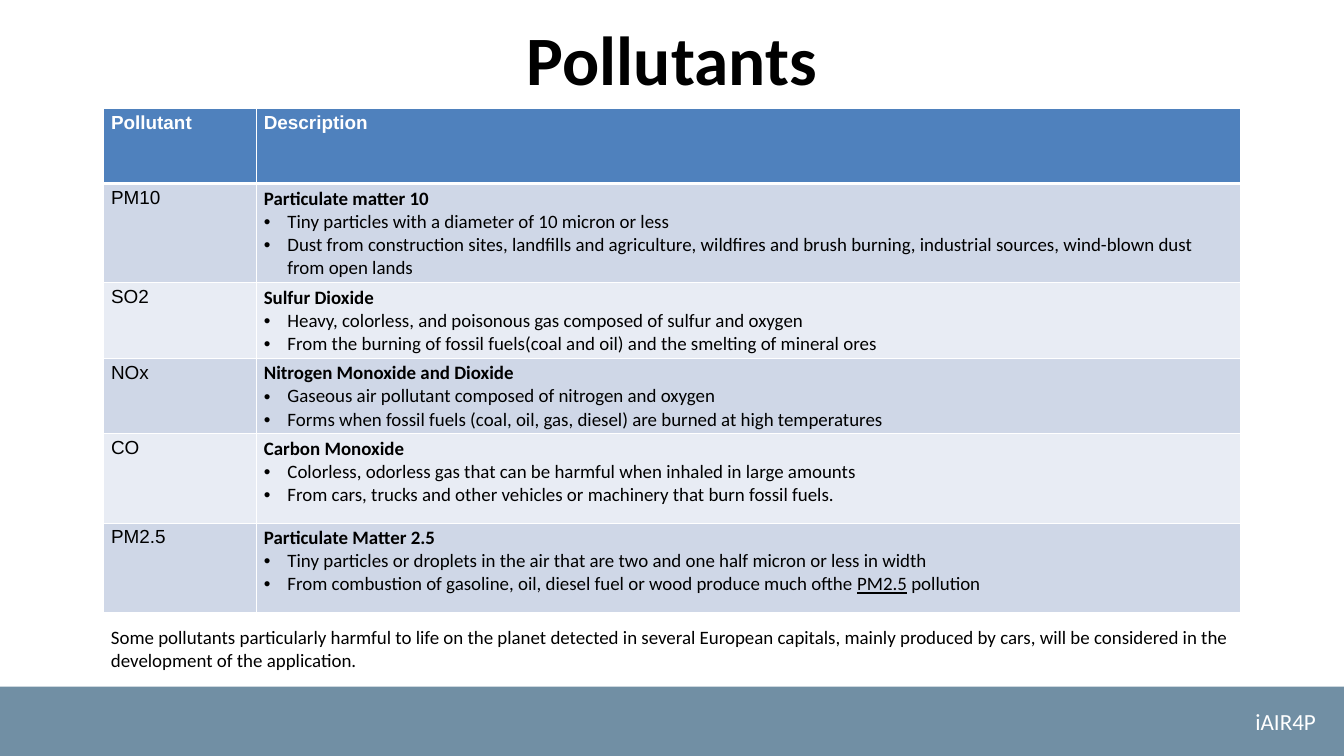
import pptx
import pptx.util
import pptx.dml.color
import pptx.enum.shapes
import pptx.enum.text
import pptx.oxml
import pptx.oxml.ns
from lxml import etree

Pt = pptx.util.Pt
COLORS = {
    "white": "FFFFFF", "black": "000000", "footer": "718FA4",
    "header": "4F81BD", "odd": "CFD7E7", "even": "E8ECF4",
}
SLIDE_W, SLIDE_H = 1280, 720
UNDERLINED = "PM2.5"
COLUMNS = [145.5, 937]
ROWS = [72, 94, 72, 72, 85, 85]
POLLUTANTS = [
    ("PM10", "Particulate matter 10", [
        "Tiny particles with a diameter of 10 micron or less",
        "Dust from construction sites, landfills and agriculture, wildfires and brush burning, "
        "industrial sources, wind-blown dust from open lands"]),
    ("SO2", "Sulfur Dioxide", [
        "Heavy, colorless, and poisonous gas composed of sulfur and oxygen",
        "From the burning of fossil fuels(coal and oil) and the smelting of mineral ores"]),
    ("NOx", "Nitrogen Monoxide and Dioxide", [
        "Gaseous air pollutant composed of nitrogen and oxygen",
        "Forms when fossil fuels (coal, oil, gas, diesel) are burned at high temperatures"]),
    ("CO", "Carbon Monoxide", [
        "Colorless, odorless gas that can be harmful when inhaled in large amounts",
        "From cars, trucks and other vehicles or machinery that burn fossil fuels."]),
    ("PM2.5", "Particulate Matter 2.5", [
        "Tiny particles or droplets in the air that are two and one half micron or less in width",
        "From combustion of gasoline, oil, diesel fuel or wood produce much ofthe PM2.5 pollution"]),
]


def rgb(name):
    return pptx.dml.color.RGBColor.from_string(COLORS[name])


def set_font(p, size=18, name="Calibri", color="black", bold=False):
    p.font.size = Pt(size)
    p.font.name = name
    p.font.bold = bold
    p.font.color.rgb = rgb(color)


def add_title(s, text):
    title = s.shapes.title
    title.left, title.top, title.width, title.height = Pt(359), Pt(12), Pt(562), Pt(87)
    tf = title.text_frame
    tf.text = text
    tf.auto_size = pptx.enum.text.MSO_AUTO_SIZE.NONE
    tf.vertical_anchor = pptx.enum.text.MSO_ANCHOR.TOP
    p = tf.paragraphs[0]
    p.alignment = pptx.enum.text.PP_ALIGN.CENTER
    set_font(p, 66, bold=True)


def add_text(s, text, left, top, width, height, size, color):
    tf = s.shapes.add_textbox(Pt(left), Pt(top), Pt(width), Pt(height)).text_frame
    tf.word_wrap = True
    p = tf.paragraphs[0]
    p.text = text
    set_font(p, size, color=color)


def add_footer_bar(s):
    top = 654
    sp = s.shapes.add_shape(pptx.enum.shapes.MSO_SHAPE.RECTANGLE,
                            0, Pt(top), Pt(SLIDE_W), Pt(SLIDE_H - top))
    sp.shadow.inherit = False
    sp.fill.solid()
    sp.fill.fore_color.rgb = rgb("footer")
    sp.line.fill.background()


def style_cell(cell, fill, top=1, bottom=1):
    tcPr = cell._tc.get_or_add_tcPr()
    for side, width in (("L", 1), ("R", 1), ("T", top), ("B", bottom)):
        ln = etree.SubElement(tcPr, pptx.oxml.ns.qn(f"a:ln{side}"), w=str(Pt(width)))
        solid = etree.SubElement(ln, pptx.oxml.ns.qn("a:solidFill"))
        etree.SubElement(solid, pptx.oxml.ns.qn("a:srgbClr"), val=COLORS["white"])
    cell.fill.solid()
    cell.fill.fore_color.rgb = rgb(fill)


def write_label(cell, text, **font):
    p = cell.text_frame.paragraphs[0]
    p.text = text
    set_font(p, **font)


def add_bullet(tf, text):
    p = tf.add_paragraph()
    for part in text.partition(UNDERLINED):
        if part:
            r = p.add_run()
            r.text = part
            if part == UNDERLINED:
                r.font.underline = True
    set_font(p)
    pPr = p._p.get_or_add_pPr()
    pPr.set("marL", str(Pt(22.5)))
    pPr.set("indent", str(Pt(-22.5)))
    bullet = etree.Element(pptx.oxml.ns.qn("a:buChar"), char="•")
    font = etree.Element(pptx.oxml.ns.qn("a:buFont"), typeface="Arial")
    pPr.insert(0, font)
    pPr.insert(1, bullet)


def add_pollutant_table(s):
    table = s.shapes.add_table(len(ROWS), len(COLUMNS), Pt(98.6), Pt(103),
                               Pt(sum(COLUMNS)), Pt(sum(ROWS))).table
    for column, width in zip(table.columns, COLUMNS):
        column.width = Pt(width)
    for row, height in zip(table.rows, ROWS):
        row.height = Pt(height)
    for cell, text in zip(table.rows[0].cells, ("Pollutant", "Description")):
        style_cell(cell, "header", bottom=3)
        write_label(cell, text, name="Arial", color="white", bold=True)
    for i, (symbol, name, bullets) in enumerate(POLLUTANTS, 1):
        for cell in table.rows[i].cells:
            style_cell(cell, "odd" if i % 2 else "even", top=3 if i == 1 else 1)
        write_label(table.cell(i, 0), symbol, name="Arial")
        write_label(table.cell(i, 1), name, bold=True)
        for text in bullets:
            add_bullet(table.cell(i, 1).text_frame, text)


def main():
    prs = pptx.Presentation()
    prs.slide_width, prs.slide_height = Pt(SLIDE_W), Pt(SLIDE_H)
    s = prs.slides.add_slide(prs.slide_layouts[5])
    add_footer_bar(s)
    add_text(s, "Some pollutants particularly harmful to life on the planet detected in several "
             "European capitals, mainly produced by cars, will be considered in the development "
             "of the application.", 98.6, 592.5, 1083, 51, 18, "black")
    add_pollutant_table(s)
    add_title(s, "Pollutants")
    add_text(s, "iAIR4P", 1188.5, 670, 84, 34, 22, "white")
    prs.save("out.pptx")


if __name__ == "__main__":
    main()
